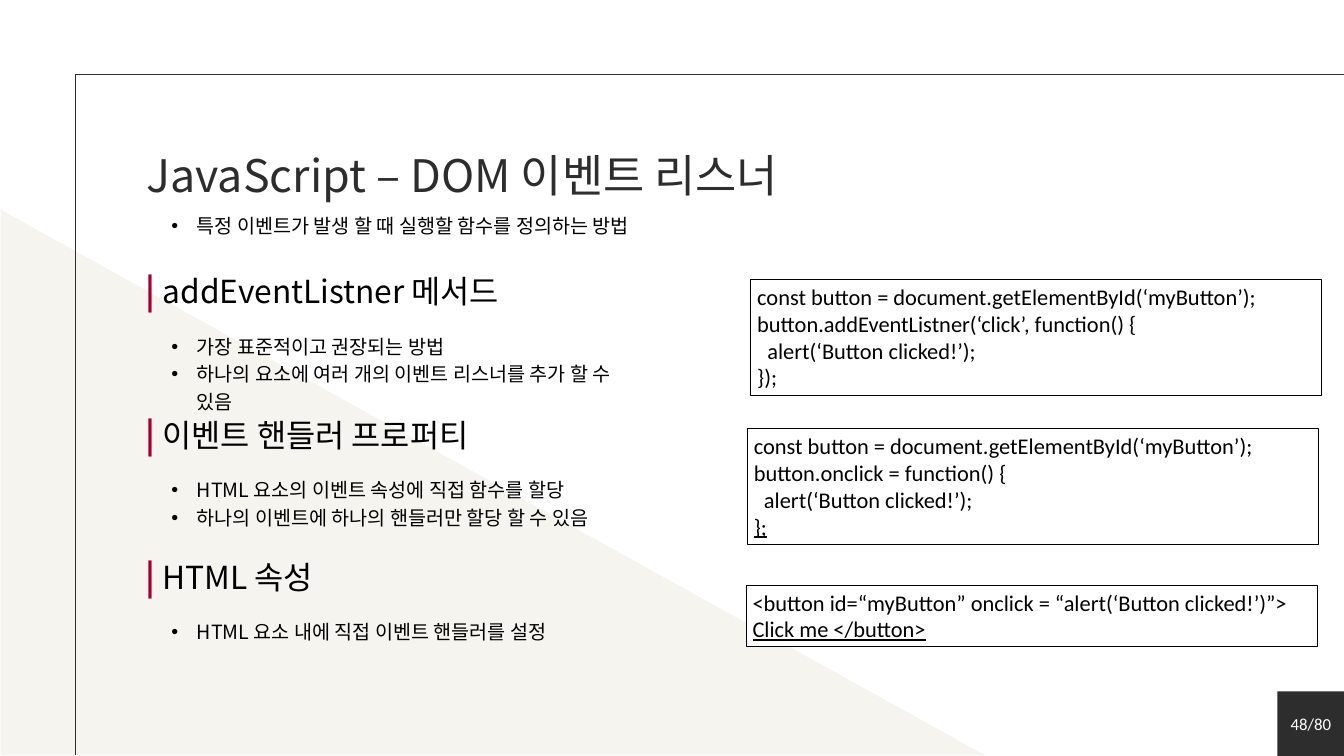
from lxml import etree
from pptx import Presentation
from pptx import util as u
from pptx.dml.color import RGBColor
from pptx.enum import shapes, text
from pptx.oxml.ns import qn

PX = 9144  # 100 px to the inch
COLORS = {"ink": "2D2D2D", "sand": "F6F4EF", "accent": "A50034",
          "black": "000000", "white": "FFFFFF"}
SANS, CODE = "Noto Sans CJK KR", "Calibri"

INTRO = ["특정 이벤트가 발생 할 때 실행할 함수를 정의하는 방법"]
GET_BUTTON = "const button = document.getElementById(‘myButton’);"
ALERT = "  alert(‘Button clicked!’);"
# heading, heading top, list, code box (left, top, height), code, last line underlined
SECTIONS = [
    ("addEventListner 메서드", 396,
     ["가장 표준적이고 권장되는 방법",
      "하나의 요소에 여러 개의 이벤트 리스너를 추가 할 수 있음"],
     (1117, 416, 172),
     [GET_BUTTON, "button.addEventListner(‘click’, function() {", ALERT, "});"], False),
    ("이벤트 핸들러 프로퍼티", 610,
     ["HTML 요소의 이벤트 속성에 직접 함수를 할당",
      "하나의 이벤트에 하나의 핸들러만 할당 할 수 있음"],
     (1112, 638, 172),
     [GET_BUTTON, "button.onclick = function() {\n" + ALERT, "};"], True),
    ("HTML 속성", 821,
     ["HTML 요소 내에 직접 이벤트 핸들러를 설정"],
     (1110, 871, 91),
     ["<button id=“myButton” onclick = “alert(‘Button clicked!’)”>",
      "Click me </button>"], True),
]


def px(*lengths):
    return [u.Emu(length * PX) for length in lengths]


def rgb(name):
    return RGBColor.from_string(COLORS[name])


def add_span(para, words, size, color, font=SANS, bold=False, underline=None):
    span = para.add_run()
    span.text = words
    span.font.size = u.Pt(size)
    span.font.bold = bold
    span.font.underline = underline
    span.font.color.rgb = rgb(color)
    span.font.name = font
    etree.SubElement(span.font._element, qn("a:ea"), typeface=font)


def paragraphs(frame, count):
    """Yield the first paragraph of a frame, then new ones, all set left."""
    for index in range(count):
        para = frame.add_paragraph() if index else frame.paragraphs[0]
        para.alignment = text.PP_ALIGN.LEFT
        para.space_before = u.Pt(0)
        yield para


def prepare_frame(shape, margin=0, anchor=text.MSO_ANCHOR.TOP):
    frame = shape.text_frame
    frame.word_wrap = True
    frame.auto_size = text.MSO_AUTO_SIZE.NONE
    frame.vertical_anchor = anchor
    if margin is not None:
        frame.margin_left = frame.margin_right = u.Emu(margin)
        frame.margin_top = frame.margin_bottom = u.Emu(margin)
    return frame


def move(shape, box):
    shape.left, shape.top, shape.width, shape.height = px(*box)


def add_block(page, kind, box, fill, line=None):
    block = page.shapes.add_shape(kind, *px(*box))
    block.shadow.inherit = False
    block.fill.solid()
    block.fill.fore_color.rgb = rgb(fill)
    if line:
        block.line.color.rgb = rgb(line)
        block.line.width = u.Pt(0.75)
    else:
        block.line.fill.background()
    return block


def add_rule(page, start, end):
    rule = page.shapes.add_connector(shapes.MSO_CONNECTOR.STRAIGHT, *px(*start, *end))
    rule.line.color.rgb = rgb("ink")
    rule.line.width = u.Pt(0.75)
    etree.SubElement(rule._element.spPr, qn("a:effectLst"))


def add_backdrop(page):
    wedge = add_block(page, shapes.MSO_SHAPE.ISOSCELES_TRIANGLE, (1, 312, 1465, 812), "sand")
    wedge.adjustments[0] = 0
    wedge._element.getparent().insert(2, wedge._element)  # behind the placeholders
    add_rule(page, (112, 112), (112, 1124))
    add_rule(page, (2000, 110), (112, 110))


def add_page_number(page, box, label):
    add_block(page, shapes.MSO_SHAPE.RECTANGLE, box, "ink")
    left, top, width, _ = box
    number = page.shapes.add_textbox(*px(left + width - 242, top + 28, 233, 40))
    frame = prepare_frame(number, None, text.MSO_ANCHOR.MIDDLE)
    para = frame.paragraphs[0]
    para.alignment = text.PP_ALIGN.RIGHT
    add_span(para, label, 18, "white", CODE)


def fill_title(title, box, words):
    move(title, box)
    for para in paragraphs(prepare_frame(title), 1):
        para.line_spacing = u.Pt(67.2)
        add_span(para, words, 48, "ink")


def fill_list(body, box, items):
    move(body, box)
    for para, item in zip(paragraphs(prepare_frame(body), len(items)), items):
        props = para._p.get_or_add_pPr()
        props.set("marL", str(38 * PX))
        props.set("indent", str(-38 * PX))
        etree.SubElement(props, qn("a:buFont"), typeface="Arial")
        etree.SubElement(props, qn("a:buChar"), char="•")
        para.line_spacing = u.Pt(29.4)
        add_span(para, item, 21, "black")


def add_heading(page, box, words):
    heading = page.shapes.add_textbox(*px(*box))
    for para in paragraphs(prepare_frame(heading), 1):
        para.line_spacing = u.Pt(47.6)
        add_span(para, "| ", 36, "accent", bold=True)
        add_span(para, words, 34, "black")


def add_code(page, box, lines, underline_last):
    block = add_block(page, shapes.MSO_SHAPE.RECTANGLE, box, "white", "black")
    frame = prepare_frame(block, None)
    for para, line in zip(paragraphs(frame, len(lines)), lines):
        underline = True if underline_last and line is lines[-1] else None
        for index, part in enumerate(line.split("\n")):
            if index:
                para.add_line_break()
            add_span(para, part, 24, "black", CODE, underline=underline)


def add_section(page, body, section):
    heading, top, items, (code_left, code_top, code_height), code, underline_last = section
    add_heading(page, (216, top, 634, 67), heading)
    fill_list(body, (255, top + 96, 712, 40 * len(items)), items)
    add_code(page, (code_left, code_top, 850, code_height), code, underline_last)


def main():
    deck = Presentation()
    deck.slide_width, deck.slide_height = px(2000, 1125)
    page = deck.slides.add_slide(deck.slide_layouts.get_by_name("Comparison"))
    title, intro, *bodies = page.placeholders
    add_backdrop(page)
    fill_title(title, (218, 207, 1249, 94), "JavaScript – DOM 이벤트 리스너")
    fill_list(intro, (255, 312, 1250, 38), INTRO)
    for body, section in zip(bodies, SECTIONS):
        add_section(page, body, section)
    add_page_number(page, (1901, 1029, 99, 96), "48/80")
    deck.save("out.pptx")


if __name__ == "__main__":
    main()
